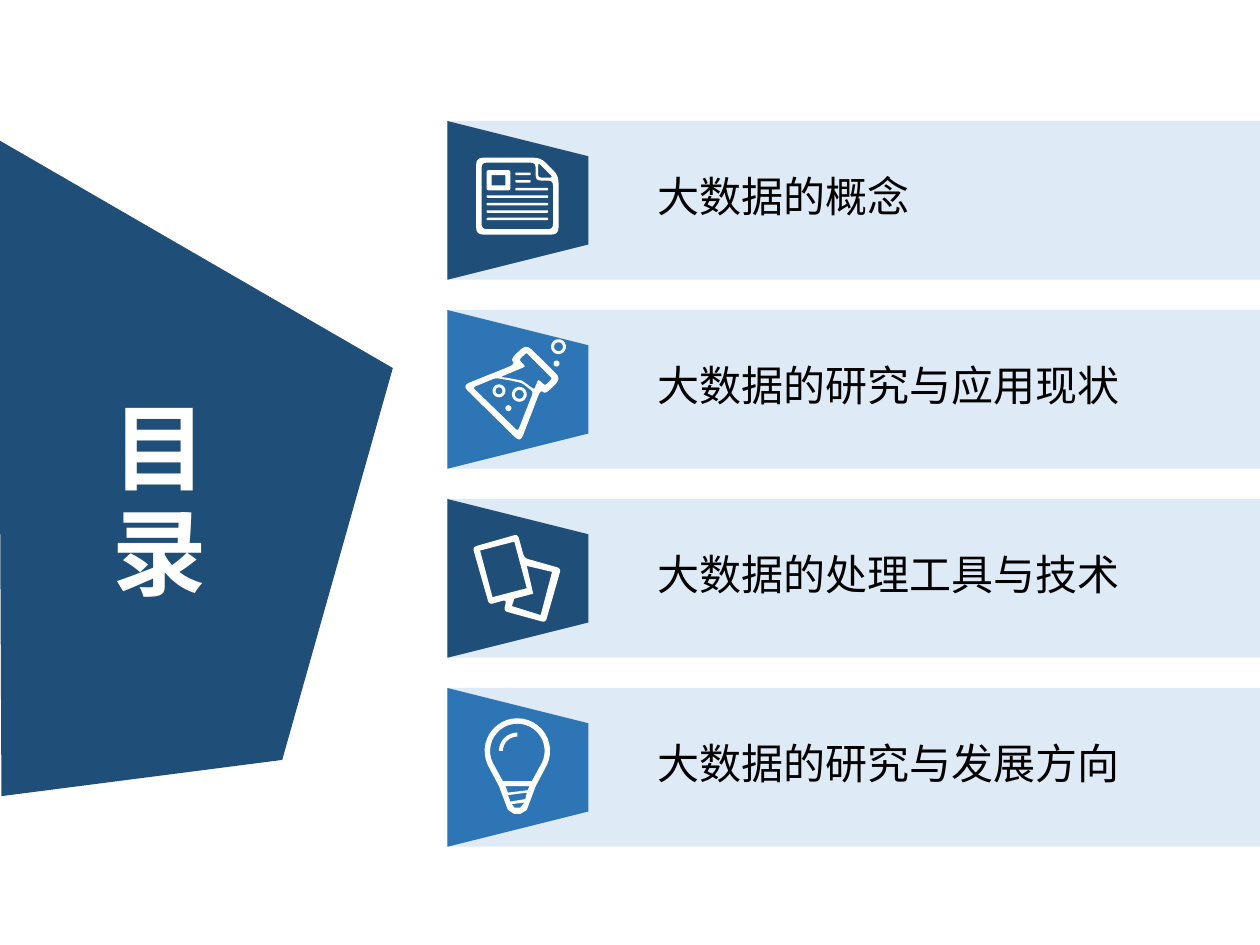
from dataclasses import dataclass
from math import cos, dist, radians, sin

from lxml.etree import SubElement
from pptx import Presentation
from pptx.dml.color import RGBColor
from pptx.enum.shapes import MSO_SHAPE as Preset
from pptx.enum.text import MSO_ANCHOR as Anchor
from pptx.enum.text import MSO_AUTO_SIZE as AutoSize
from pptx.enum.text import PP_ALIGN as Align
from pptx.oxml.ns import qn
from pptx.util import Cm, Pt

Point = tuple[float, float]
Contour = list[Point]
Part = list[Contour]


@dataclass(frozen=True)
class Theme:
    font: str = "Noto Sans CJK SC"
    navy: str = "1F4E79"
    blue: str = "2E75B6"
    pale: str = "DEEBF7"
    white: str = "FFFFFF"
    black: str = "000000"
    title_size: int = 54
    label_size: int = 24
    title_spacing: int = 6


@dataclass(frozen=True)
class Entry:
    label: str
    color: str
    icon: list[Part]


THEME = Theme()
ROW_LEFT, ROW_TOP, ROW_WIDTH, ROW_HEIGHT, ROW_PITCH = 9.02, 2.44, 16.38, 3.2, 3.81
TAB_WIDTH = 2.84
LABEL_LEFT, LABEL_OFFSET = 13.0, 0.87


def rounded(radius: float, *corners: Point) -> Contour:
    points = []
    for index, corner in enumerate(corners):
        ends = []
        for other in (corners[index - 1], corners[(index + 1) % len(corners)]):
            share = min(radius / dist(corner, other), 0.5)
            ends.append([a + (b - a) * share for a, b in zip(corner, other)])
        for step in range(5):
            t = step / 4
            points.append(tuple(
                (1 - t) ** 2 * a + 2 * t * (1 - t) * c + t ** 2 * b
                for a, c, b in zip(ends[0], corner, ends[1])
            ))
    return points


def block(left: float, top: float, right: float, bottom: float, radius: float) -> Contour:
    return rounded(radius, (left, top), (right, top), (right, bottom), (left, bottom))


def arc(x: float, y: float, radius: float, start: float, end: float) -> Contour:
    angles = [radians(start + (end - start) * step / 24) for step in range(25)]
    return [(x + radius * cos(angle), y + radius * sin(angle)) for angle in angles]


def rings(x: float, y: float, *radii: float) -> Part:
    return [arc(x, y, radius, 0, 360) for radius in radii]


def document_icon() -> list[Part]:
    sheet = [
        rounded(0.14, (0.58, 0.74), (1.88, 0.74), (2.24, 1.1), (2.24, 2.29), (0.58, 2.29)),
        rounded(0.1, (0.69, 0.84), (1.78, 0.84), (1.78, 1.2), (2.13, 1.2),
                (2.13, 2.18), (0.69, 2.18)),
        rounded(0.06, (1.83, 0.84), (2.13, 1.14), (1.83, 1.14)),
    ]
    frame = [block(0.79, 0.99, 1.27, 1.4, 0.05), block(0.89, 1.09, 1.17, 1.3, 0)]
    lines = [(1.37, 1.68, 1.04), (1.37, 1.68, 1.19), (1.37, 2.03, 1.35)]
    lines += [(0.79, 2.03, 1.5 + 0.15 * index) for index in range(4)]
    bars = [[block(left, top, right, top + 0.05, 0.02)] for left, right, top in lines]
    return [sheet, frame, *bars]


def flask_icon() -> list[Part]:
    glass = [
        rounded(0.15, (1.59, 0.69), (2.29, 1.38), (1.97, 1.7), (1.88, 1.6),
                (1.47, 2.67), (0.3, 1.52), (1.37, 1.09), (1.27, 0.99)),
        rounded(0.04, (1.59, 0.86), (2.11, 1.38), (1.97, 1.52), (1.83, 1.4), (1.75, 1.6),
                (1.5, 1.42), (1.22, 1.37), (1.07, 1.35), (1.57, 1.14), (1.45, 1)),
        rounded(0.06, (1.73, 1.65), (1.42, 2.44), (0.51, 1.56), (0.97, 1.37),
                (1.27, 1.42), (1.5, 1.47)),
    ]
    return [glass, rings(1.45, 1.7, 0.15, 0.09), rings(2.24, 0.74, 0.15, 0.09),
            rings(1.04, 1.63, 0.13, 0.07), rings(1.23, 1.98, 0.06), rings(2.2, 1.08, 0.06)]


def cards_icon() -> list[Part]:
    return [[
        rounded(0.08, (2.29, 1.4), (1.98, 2.49), (1.14, 2.26), (1.19, 2.03),
                (0.84, 2.13), (0.51, 0.97), (1.42, 0.71), (1.55, 1.19)),
        [(0.66, 1.04), (1.35, 0.86), (1.6, 1.8), (0.91, 1.98)],
        [(1.88, 2.34), (1.3, 2.16), (1.35, 2.01), (1.73, 1.91), (1.6, 1.35), (2.11, 1.47)],
    ]]


def bulb_icon() -> list[Part]:
    x, y = 1.41, 1.27
    bulb = [
        arc(x, y, 0.66, 155, 385) + [(1.78, 1.98), (1.6, 2.46), (1.47, 2.54),
                                     (1.35, 2.54), (1.22, 2.46), (1.04, 1.98)],
        arc(x, y, 0.55, 155, 385) + [(1.7, 1.88), (1.12, 1.88)],
        [(1.17, 1.98), (1.65, 1.98), (1.62, 2.06), (1.22, 2.11)],
        [(1.22, 2.16), (1.6, 2.11), (1.57, 2.24), (1.27, 2.29)],
        [(1.3, 2.34), (1.55, 2.31), (1.47, 2.41), (1.35, 2.41)],
    ]
    return [bulb, [arc(x, y, 0.37, 180, 270) + arc(x, y, 0.29, 270, 180)]]


ENTRIES = [
    Entry("大数据的概念", THEME.navy, document_icon()),
    Entry("大数据的研究与应用现状", THEME.blue, flask_icon()),
    Entry("大数据的处理工具与技术", THEME.navy, cards_icon()),
    Entry("大数据的研究与发展方向", THEME.blue, bulb_icon()),
]


def paint(shape, color: str) -> None:
    shape.shadow.inherit = False
    shape.fill.solid()
    shape.fill.fore_color.rgb = RGBColor.from_string(color)
    shape.line.fill.background()


def add_preset(page, preset, left: float, top: float, width: float, height: float, color: str):
    shape = page.shapes.add_shape(preset, Cm(left), Cm(top), Cm(width), Cm(height))
    paint(shape, color)
    return shape


def add_outline(shapes, part: Part, left: float, top: float, color: str) -> None:
    contours = [[(Cm(left + x), Cm(top + y)) for x, y in contour] for contour in part]
    builder = shapes.build_freeform(*contours[0][0])
    for index, contour in enumerate(contours):
        if index:
            builder.move_to(*contour[0])
        builder.add_line_segments(contour[1:], close=True)
    paint(builder.convert_to_shape(), color)


def write(frame, text: str, size: int, color: str, bold: bool = False, spacing: int = 0) -> None:
    frame.text = text
    para = frame.paragraphs[0]
    para.alignment = Align.LEFT
    span = para.runs[0]
    span.font.size = Pt(size)
    span.font.bold = bold
    span.font.color.rgb = RGBColor.from_string(color)
    span.font.name = THEME.font
    properties = span._r.get_or_add_rPr()
    SubElement(properties, qn("a:ea")).set("typeface", THEME.font)
    if spacing:
        properties.set("spc", str(spacing * 100))


def add_title(page) -> None:
    pentagon = [(-0.03, 2.82), (7.92, 7.42), (5.69, 15.32), (0.03, 16.05)]
    add_outline(page.shapes, [pentagon], 0, 0, THEME.navy)
    title = page.shapes.title
    page.shapes.element.append(title.element)
    title.left, title.top, title.width, title.height = Cm(1.73), Cm(7.95), Cm(2.82), Cm(4.67)
    frame = title.text_frame
    write(frame, "目录", THEME.title_size, THEME.white, True, THEME.title_spacing)
    frame.vertical_anchor = Anchor.TOP
    frame.auto_size = AutoSize.SHAPE_TO_FIT_TEXT
    title.element.txBody.bodyPr.set("vert", "eaVert")


def add_entry(page, entry: Entry, top: float) -> None:
    add_preset(page, Preset.RECTANGLE, ROW_LEFT, top, ROW_WIDTH, ROW_HEIGHT, THEME.pale)
    turn = (ROW_HEIGHT - TAB_WIDTH) / 2
    tab = add_preset(page, Preset.TRAPEZOID, ROW_LEFT - turn, top + turn,
                     ROW_HEIGHT, TAB_WIDTH, entry.color)
    tab.rotation = 90
    shapes = page.shapes.add_group_shape().shapes if len(entry.icon) > 1 else page.shapes
    for part in entry.icon:
        add_outline(shapes, part, ROW_LEFT, top, THEME.white)
    box = page.shapes.add_textbox(Cm(LABEL_LEFT), Cm(top + LABEL_OFFSET), Cm(9.83), Cm(1.35))
    write(box.text_frame, entry.label, THEME.label_size, THEME.black)
    box.text_frame.word_wrap = False
    box.text_frame.auto_size = AutoSize.SHAPE_TO_FIT_TEXT


def main() -> None:
    deck = Presentation()
    deck.slide_width, deck.slide_height = Cm(25.4), Cm(19.05)
    page = deck.slides.add_slide(deck.slide_layouts[5])
    add_title(page)
    for index, entry in enumerate(ENTRIES):
        add_entry(page, entry, ROW_TOP + index * ROW_PITCH)
    deck.save("out.pptx")


if __name__ == "__main__":
    main()
